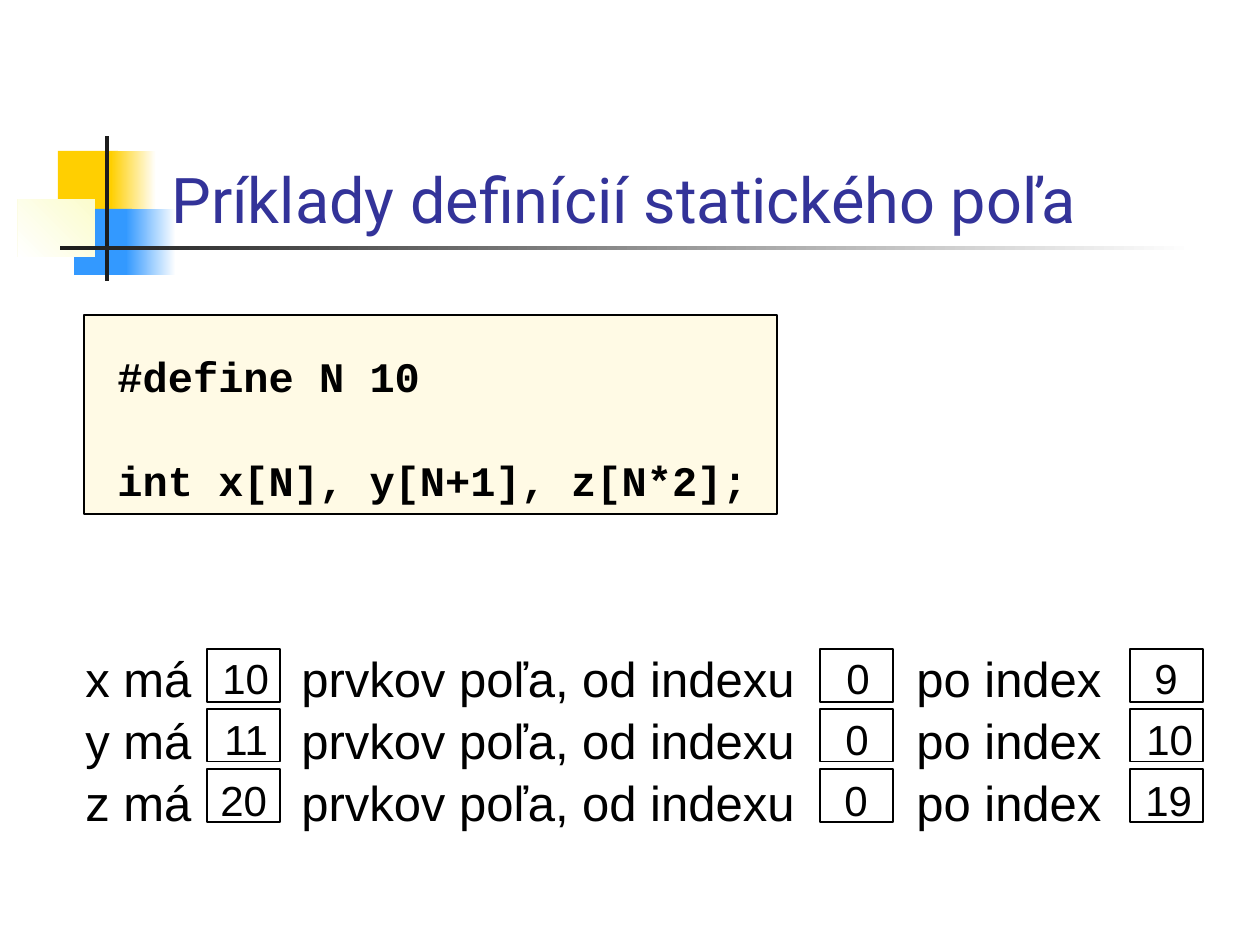
from dataclasses import dataclass

from lxml.etree import SubElement
from pptx import Presentation
from pptx.dml.color import RGBColor
from pptx.enum.shapes import MSO_SHAPE
from pptx.enum.text import MSO_ANCHOR
from pptx.oxml.ns import qn
from pptx.util import Pt

PX = 914400 // 126


@dataclass(frozen=True)
class Theme:
    ink: str = "000000"
    title: str = "333399"
    panel: str = "FFFAE5"
    yellow: str = "FFCF01"
    blue: str = "3399FF"
    cream: str = "FBFCCC"
    dark: str = "1C1C1C"
    white: str = "FFFFFF"
    title_size: int = 36
    body_size: int = 28
    small_size: int = 24
    title_font: str = "Roboto"
    code_font: str = "Courier New"
    body_font: str = "Arial"


THEME = Theme()

# Content
TITLE = "Príklady definícií statického poľa"
CODE = ["#define N 10", "int x[N], y[N+1], z[N*2];"]
SENTENCES = [f"{name} má\tprvkov poľa, od indexu\tpo index" for name in "xyz"]
SENTENCE_TABS = [216, 831]
CELL_LEFTS = [207, 820, 1130]
# Each row holds value and text left for count, first index and last index
VALUES = [
    [("10", 210), ("0", 834), ("9", 1142)],
    [("11", 212), ("0", 833), ("10", 1134)],
    [("20", 208), ("0", 832), ("19", 1133)],
]
CELL_TOP, CELL_WIDTH, CELL_HEIGHT, ROW_PITCH = 649, 73, 53, 60
VALUE_TOP, VALUE_HEIGHT, VALUE_PITCH = 642, 63, 61
VALUE_WIDTHS = {1: 48, 2: 72}

# Ornament: left, top, width, height, colours from start to end, angle
ORNAMENT = [
    (58, 151, 60, 66, [THEME.yellow], 0),
    (111, 151, 45, 66, [THEME.white, THEME.yellow], 180),
    (74, 209, 58, 66, [THEME.blue], 0),
    (126, 209, 50, 66, [THEME.white, THEME.blue], 180),
    (18, 199, 77, 58, [THEME.cream, THEME.white], 225),
    (105, 136, 4, 145, [THEME.dark], 0),
    (60, 246, 1134, 4, [THEME.white, THEME.dark], 180),
]


def colour(code):
    return RGBColor.from_string(code)


def add_rectangle(page, left, top, width, height, colours=(), angle=0, line=None):
    shape = page.shapes.add_shape(
        MSO_SHAPE.RECTANGLE, left * PX, top * PX, width * PX, height * PX)
    shape.shadow.inherit = False
    if len(colours) == 2:
        shape.fill.gradient()
        shape.fill.gradient_angle = angle
        for stop, code in zip(shape.fill.gradient_stops, colours):
            stop.color.rgb = colour(code)
    elif colours:
        shape.fill.solid()
        shape.fill.fore_color.rgb = colour(colours[0])
    else:
        shape.fill.background()
    if line:
        shape.line.color.rgb = colour(line)
        shape.line.width = Pt(0.75)
    else:
        shape.line.fill.background()


def add_text(page, left, top, width, height, lines, size, font, ink=THEME.ink,
             bold=False, wrap=True, spacing=None, gap=0, tabs=(), inset=6,
             anchor=MSO_ANCHOR.TOP):
    box = page.shapes.add_textbox(left * PX, top * PX, width * PX, height * PX)
    frame = box.text_frame
    frame.word_wrap = wrap
    frame.vertical_anchor = anchor
    frame.margin_top = inset * PX
    for index, line in enumerate(lines):
        para = frame.add_paragraph() if index else frame.paragraphs[0]
        para.text = line
        if spacing:
            para.line_spacing = spacing
        if index and gap:
            para.space_before = Pt(gap)
        if tabs:
            tab_list = SubElement(para._p.get_or_add_pPr(), qn("a:tabLst"))
            for position in tabs:
                SubElement(tab_list, qn("a:tab"), pos=str(position * PX), algn="l")
        for span in para.runs:
            span.font.size = Pt(size)
            span.font.name = font
            span.font.bold = bold
            span.font.color.rgb = colour(ink)


def build():
    deck = Presentation()
    deck.slide_width, deck.slide_height = 1260 * PX, 945 * PX
    page = deck.slides.add_slide(deck.slide_layouts[6])

    # Ornament and title
    for left, top, width, height, colours, angle in ORNAMENT:
        add_rectangle(page, left, top, width, height, colours, angle)
    add_text(page, 159, 84, 1074, 158, [TITLE], THEME.title_size,
             THEME.title_font, THEME.title, anchor=MSO_ANCHOR.BOTTOM)

    # Code panel
    add_rectangle(page, 84, 315, 693, 199, [THEME.panel], line=THEME.ink)
    add_text(page, 105, 336, 662, 164, CODE, THEME.small_size, THEME.code_font,
             bold=True, gap=30.5, inset=15)

    # Sentences with framed values
    add_text(page, 73, 640, 1124, 189, SENTENCES, THEME.body_size,
             THEME.body_font, spacing=1.05, tabs=SENTENCE_TABS)
    for row, values in enumerate(VALUES):
        for cell_left, (value, left) in zip(CELL_LEFTS, values):
            add_rectangle(page, cell_left, CELL_TOP + row * ROW_PITCH,
                          CELL_WIDTH, CELL_HEIGHT, line=THEME.ink)
            add_text(page, left, VALUE_TOP + row * VALUE_PITCH,
                     VALUE_WIDTHS[len(value)], VALUE_HEIGHT, [value],
                     THEME.small_size, THEME.body_font, wrap=False,
                     spacing=1.05, inset=8)

    deck.save("out.pptx")


if __name__ == "__main__":
    build()
